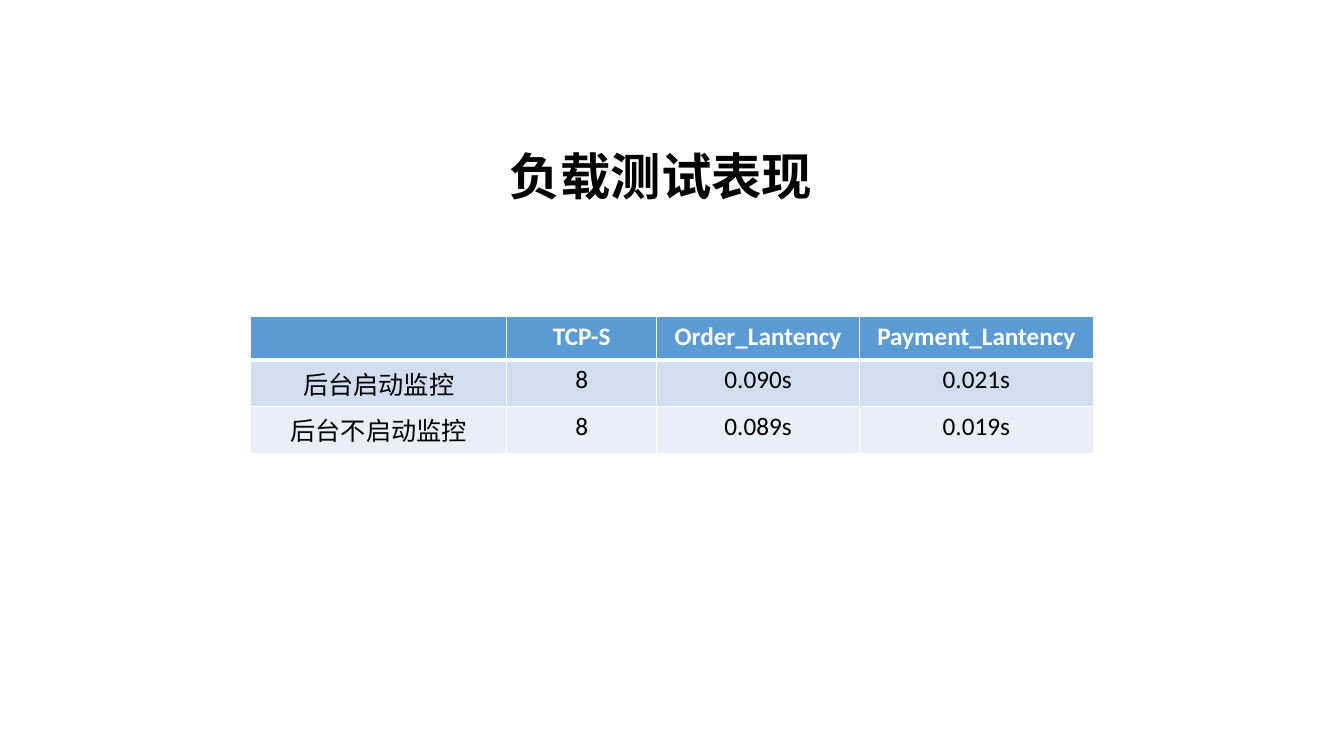
from lxml.etree import SubElement
from pptx import Presentation
from pptx.dml.color import RGBColor
from pptx.enum.text import MSO_AUTO_SIZE, PP_ALIGN
from pptx.oxml.ns import qn
from pptx.util import Cm, Pt

WHITE, BLACK = "FFFFFF", "000000"
HEADER_FILL = "5B9BD5"
BAND_FILLS = ["D2DEEF", "EAEFF7"]
TITLE_FORMAT = {"name": "Calibri", "size": Pt(36), "bold": True}
HEADER_FORMAT = {"name": "Calibri", "size": Pt(18), "bold": True}
BODY_FORMAT = {**HEADER_FORMAT, "bold": False}
COLUMN_WIDTHS = [6.45, 3.78, 5.11, 5.89]
ROW_HEIGHTS = [1.09, 1.04, 1.04]
RESULTS = [
    ["", "TCP-S", "Order_Lantency", "Payment_Lantency"],
    ["后台启动监控", "8", "0.090s", "0.021s"],
    ["后台不启动监控", "8", "0.089s", "0.019s"],
]


def colour(value):
    return RGBColor.from_string(value)


def write(para, text, text_format, text_colour):
    span = para.add_run()
    span.text = text
    for name, value in text_format.items():
        setattr(span.font, name, value)
    span.font.color.rgb = colour(text_colour)


def set_borders(cell, widths):
    properties = cell._tc.get_or_add_tcPr()
    for side, width in widths.items():
        line = SubElement(properties, qn(f"a:ln{side}"), w=str(Pt(width)))
        fill = SubElement(line, qn("a:solidFill"))
        SubElement(fill, qn("a:srgbClr"), val=WHITE)


def add_title(page, left, top, width, height):
    box = page.shapes.add_textbox(Cm(left), Cm(top), Cm(width), Cm(height))
    frame = box.text_frame
    frame.word_wrap = False
    frame.auto_size = MSO_AUTO_SIZE.SHAPE_TO_FIT_TEXT
    write(frame.paragraphs[0], "负载测试表现", TITLE_FORMAT, BLACK)


def add_results(page, left, top):
    table = page.shapes.add_table(
        len(RESULTS), len(COLUMN_WIDTHS), Cm(left), Cm(top),
        Cm(sum(COLUMN_WIDTHS)), Cm(sum(ROW_HEIGHTS)),
    ).table
    for column, width in zip(table.columns, COLUMN_WIDTHS):
        column.width = Cm(width)
    for index, (row, height) in enumerate(zip(table.rows, ROW_HEIGHTS)):
        row.height = Cm(height)
        header = index == 0
        text_format = HEADER_FORMAT if header else BODY_FORMAT
        text_colour = WHITE if header else BLACK
        fill = HEADER_FILL if header else BAND_FILLS[(index - 1) % 2]
        widths = {"L": 1, "R": 1, "T": 3 if index == 1 else 1, "B": 3 if header else 1}
        for cell, text in zip(row.cells, RESULTS[index]):
            set_borders(cell, widths)
            cell.fill.solid()
            cell.fill.fore_color.rgb = colour(fill)
            para = cell.text_frame.paragraphs[0]
            para.alignment = PP_ALIGN.CENTER
            if text:
                write(para, text, text_format, text_colour)


def main():
    deck = Presentation()
    deck.slide_width, deck.slide_height = Cm(33.87), Cm(19.05)
    page = deck.slides.add_slide(deck.slide_layouts[6])
    add_results(page, 6.32, 7.98)
    add_title(page, 12.6, 3.53, 8.23, 1.8)
    deck.save("out.pptx")


if __name__ == "__main__":
    main()
